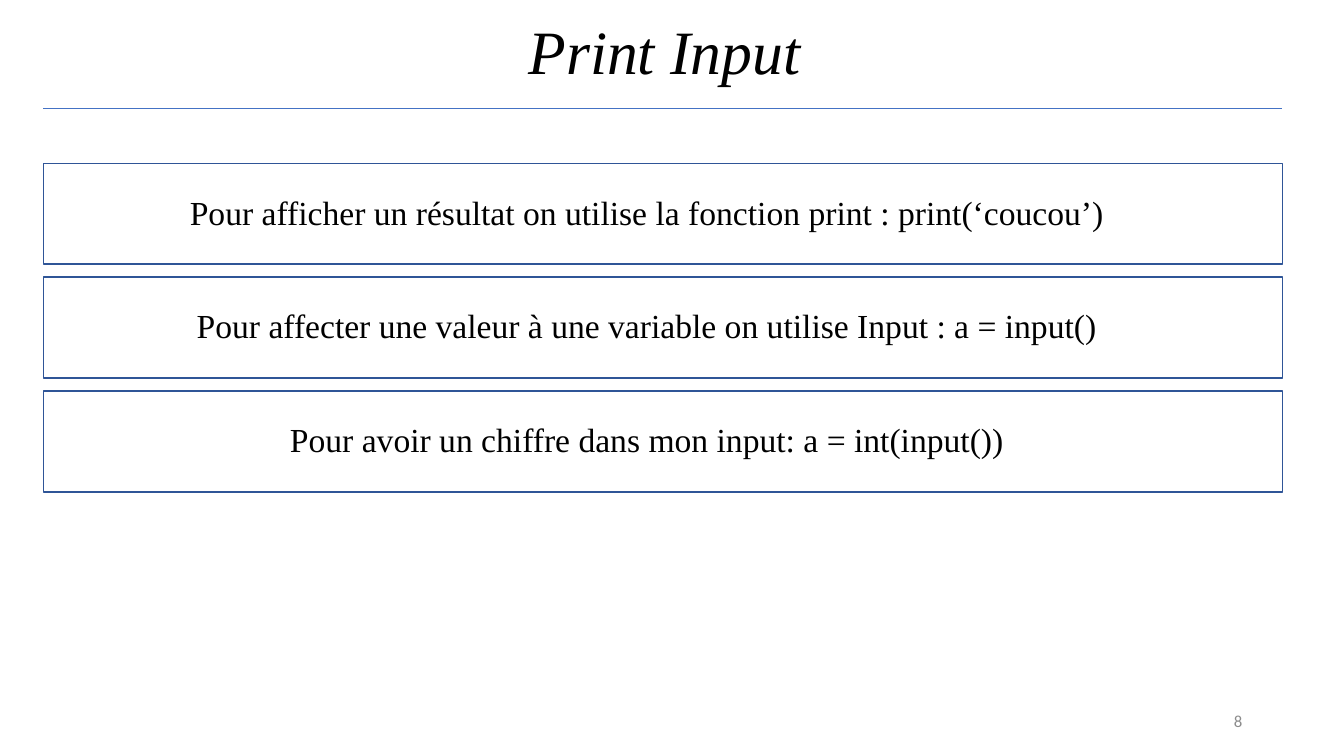
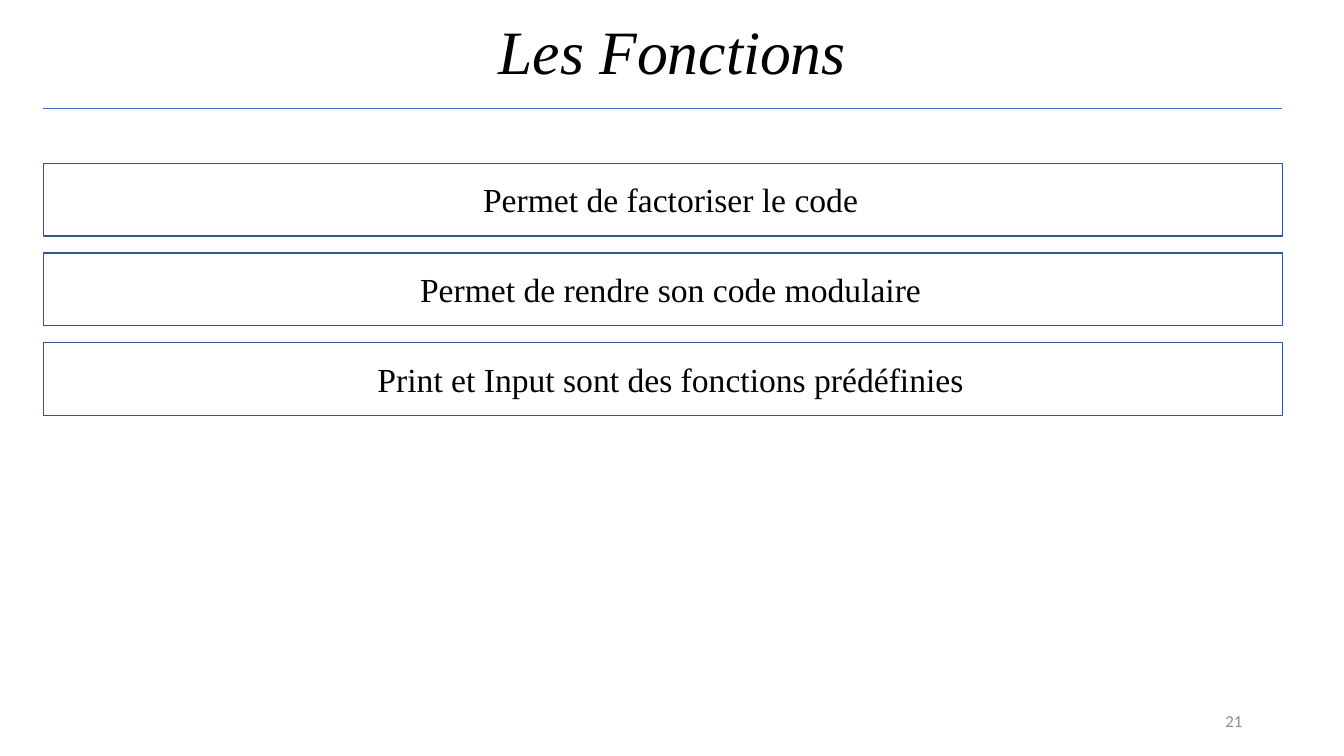
from pptx import Presentation
from pptx.dml.color import RGBColor
from pptx.enum.shapes import MSO_CONNECTOR, MSO_SHAPE
from pptx.enum.text import MSO_ANCHOR, PP_ALIGN
from pptx.oxml.ns import qn
from pptx.util import Inches, Pt
from lxml import etree

LINE, RECT = MSO_CONNECTOR.STRAIGHT, MSO_SHAPE.RECTANGLE
TOP, MIDDLE = MSO_ANCHOR.TOP, MSO_ANCHOR.MIDDLE
CENTER, RIGHT = PP_ALIGN.CENTER, PP_ALIGN.RIGHT

BLACK = RGBColor(0x00, 0x00, 0x00)
GREY = RGBColor(0x8C, 0x8C, 0x8C)
BLUE = RGBColor(0x44, 0x72, 0xC4)
DARK_BLUE = RGBColor(0x2F, 0x55, 0x97)

SERIF, SANS = "Times New Roman", "Calibri"

# Shared content column
LEFT, WIDTH = 0.43, 12.29
RULE_Y, CONTENT_Y = 1.08, 1.62
TEXT_INSET, TEXT_H = 0.18, 0.5


def add_text(s, box, text, size, font=SERIF, color=BLACK, align=CENTER, anchor=TOP):
    sp = s.shapes.add_textbox(*(Inches(v) for v in box))
    tf = sp.text_frame
    tf.word_wrap = True
    tf.vertical_anchor = anchor
    p = tf.paragraphs[0]
    p.text = text
    p.alignment = align
    p.font.size = Pt(size)
    p.font.name = font
    p.font.color.rgb = color
    return p


def add_frame(s, title, number):
    """Title, rule below it and page number."""
    p = add_text(s, (0.92, -0.18, 11.5, 1.45), title, 44, anchor=MIDDLE)
    p.font.italic = True
    p.line_spacing = 0.9

    add_text(s, (9.42, 6.95, 3, 0.4), str(number), 12, SANS, GREY, RIGHT, MIDDLE)

    rule = s.shapes.add_connector(LINE, Inches(LEFT), Inches(RULE_Y),
                                  Inches(LEFT + WIDTH), Inches(RULE_Y))
    rule.line.color.rgb = BLUE
    rule.line.width = Pt(0.5)
    etree.SubElement(rule._element.spPr, qn("a:effectLst"))


def add_panel(s, box, text, text_w, text_dy):
    """Outlined box with one centred statement."""
    x, y, w, h = box
    sp = s.shapes.add_shape(RECT, Inches(x), Inches(y), Inches(w), Inches(h))
    sp.shadow.inherit = False
    sp.fill.background()
    sp.line.color.rgb = DARK_BLUE
    sp.line.width = Pt(1)
    add_text(s, (x + TEXT_INSET, y + text_dy, text_w, TEXT_H), text, 24)


def add_panel_slide(prs, title, number, texts, height, pitch, text_w, text_dy):
    s = prs.slides.add_slide(prs.slide_layouts[6])
    add_frame(s, title, number)
    for i, text in enumerate(texts):
        box = (LEFT, CONTENT_Y + i * pitch, WIDTH, height)
        add_panel(s, box, text, text_w, text_dy)


def main():
    prs = Presentation()
    prs.slide_width, prs.slide_height = Inches(13.33), Inches(7.5)

    add_panel_slide(prs, "Print Input ", 8, [
        "Pour afficher un résultat on utilise la fonction print : print(‘coucou’)",
        "Pour affecter une valeur à une variable on utilise Input : a = input()",
        "Pour avoir un chiffre dans mon input: a = int(input())",
    ], height=1, pitch=1.13, text_w=11.61, text_dy=0.23)

    add_panel_slide(prs, "Les Fonctions", 21, [
        " Permet de factoriser le code",
        " Permet de rendre son code modulaire",
        " Print et Input sont des fonctions prédéfinies",
    ], height=0.72, pitch=0.89, text_w=12, text_dy=0.11)

    prs.save("out.pptx")


if __name__ == "__main__":
    main()
